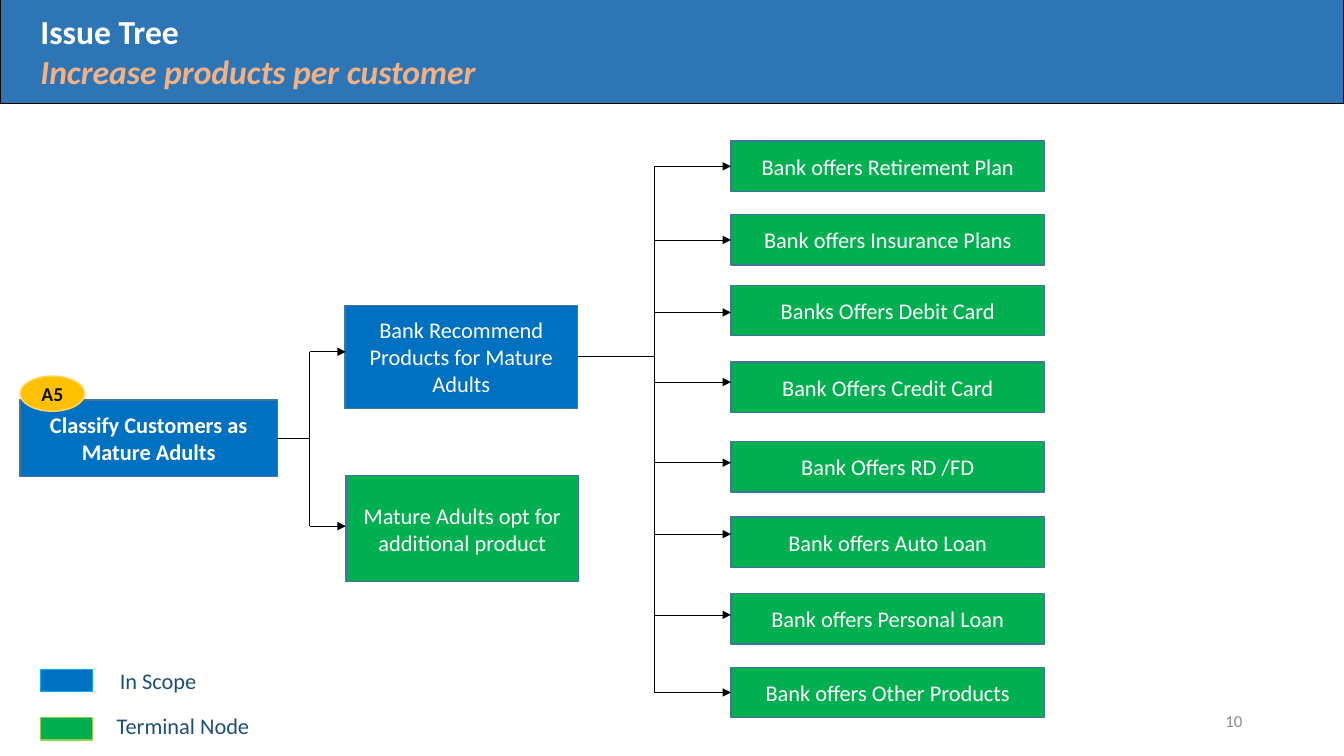
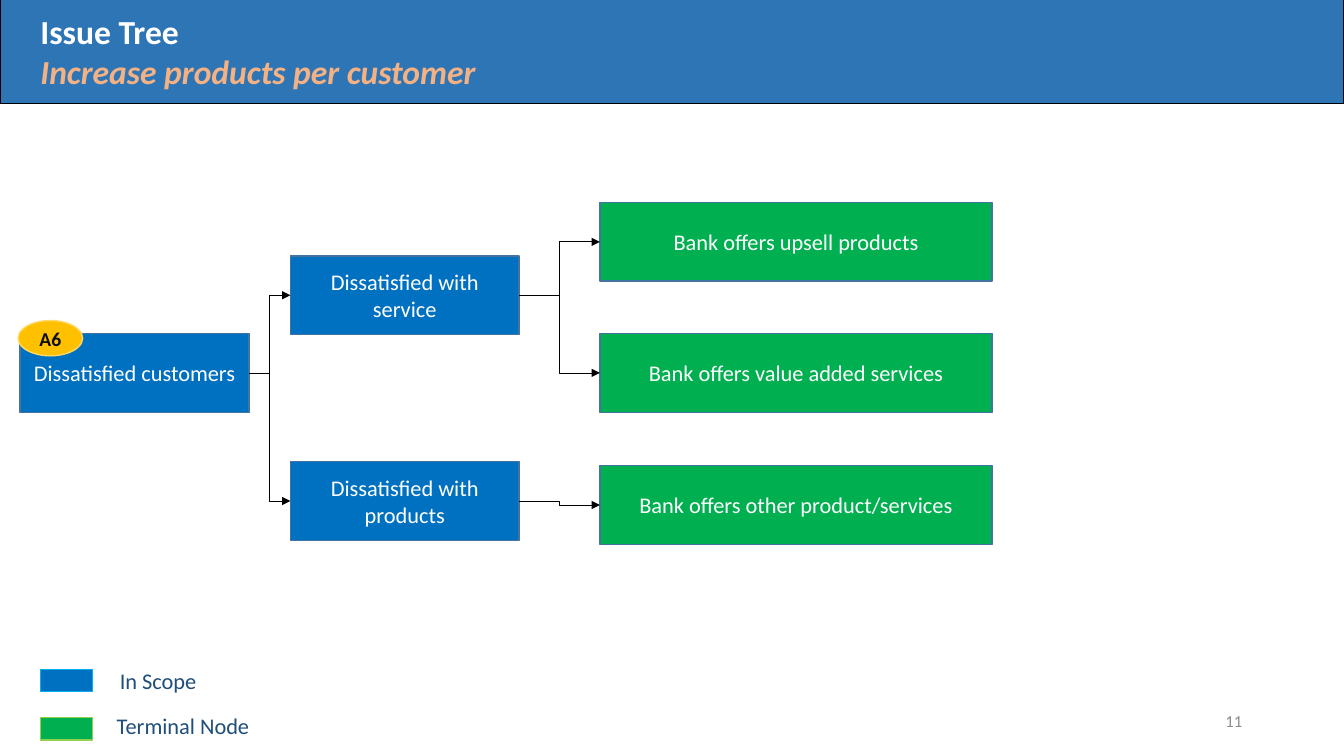
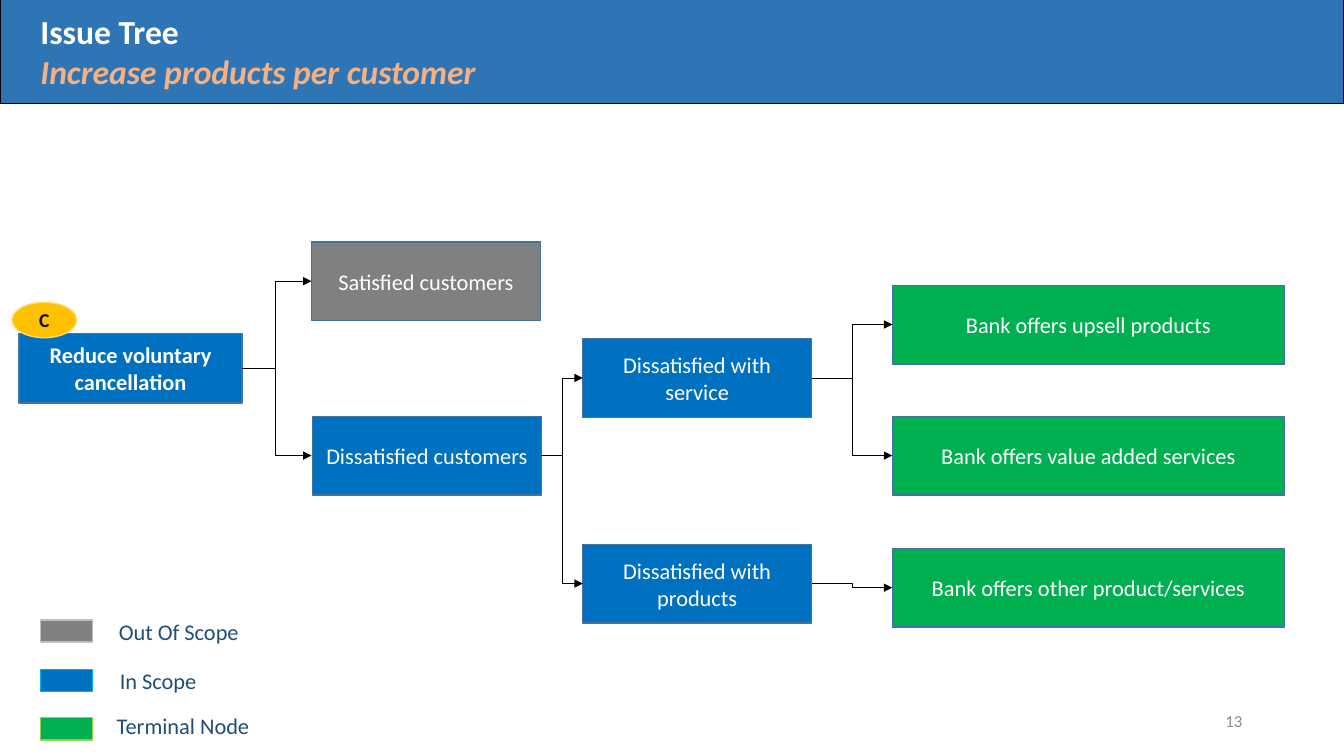
from lxml import etree
from pptx import Presentation
from pptx.dml.color import RGBColor
from pptx.enum.shapes import MSO_CONNECTOR as CONN, MSO_SHAPE as SHAPE
from pptx.enum.text import MSO_ANCHOR as ANCHOR, MSO_AUTO_SIZE as AUTO, PP_ALIGN as ALIGN
from pptx.oxml.ns import qn
from pptx.util import Inches, Pt

FONT = "Calibri"
COLORS = {name: RGBColor.from_string(code) for name, code in {
    "band": "2E75B6", "subtitle": "F4B183", "white": "FFFFFF", "black": "000000",
    "in_scope": "0070C0", "in_scope_edge": "00B0F0",
    "terminal": "00B050", "terminal_edge": "92D050",
    "out_scope": "808080", "out_scope_edge": "BFBFBF",
    "node_edge": "43739E", "badge": "FFC000", "badge_edge": "FFD966",
    "badge_text": "0D0D0D", "legend_text": "1F4E79", "page_number": "8C8C8C",
}.items()}


def add_node(slide, box, text, fill, edge="node_edge", kind=SHAPE.RECTANGLE,
             size=16, color="white", bold=False):
    node = slide.shapes.add_shape(kind, *map(Inches, box))
    node.shadow.inherit = False
    node.fill.solid()
    node.fill.fore_color.rgb = COLORS[fill]
    node.line.color.rgb = COLORS[edge]
    node.line.width = Pt(1)
    if text:
        node.text_frame.text = text
        node.text_frame.vertical_anchor = ANCHOR.MIDDLE
        paragraph = node.text_frame.paragraphs[0]
        paragraph.alignment = ALIGN.CENTER
        font = paragraph.runs[0].font
        font.name, font.size, font.bold = FONT, Pt(size), bold
        font.color.rgb = COLORS[color]
    return node


def add_line(slide, ends, arrow=False, kind=CONN.STRAIGHT):
    line = slide.shapes.add_connector(kind, *map(Inches, ends))
    line.line.color.rgb = COLORS["black"]
    line.line.width = Pt(0.5)
    if arrow:
        etree.SubElement(line.line._get_or_add_ln(), qn("a:tailEnd"), type="triangle")
    etree.SubElement(line._element.spPr, qn("a:effectLst"))
    return line


prs = Presentation()
prs.slide_width, prs.slide_height = Inches(13.33), Inches(7.5)

# Shared frame: title band, legend, page number
LEGEND = [  # label, colour, swatch top, label left, label top, label width
    ("Terminal Node", "terminal", 7.12, 1.06, 7.02, 1.53),
    ("In Scope", "in_scope", 6.64, 1.09, 6.57, 0.97),
    ("Out Of Scope", "out_scope", 6.15, 1.08, 6.08, 1.41),
]
slides = []
for page, legend_size in [("10", 2), ("11", 2), ("13", 3)]:
    slide = prs.slides.add_slide(prs.slide_layouts[5])
    slides.append(slide)

    title = slide.shapes.title
    title.left, title.top = Inches(0), Inches(-0.02)
    title.width, title.height = Inches(13.33), Inches(1.05)
    title.fill.solid()
    title.fill.fore_color.rgb = COLORS["band"]
    title.line.color.rgb = COLORS["black"]
    title.line.width = Pt(1)
    frame = title.text_frame
    frame.text = "Issue Tree\nIncrease products per customer"
    frame.auto_size, frame.vertical_anchor = AUTO.NONE, ANCHOR.MIDDLE
    frame.margin_left = Inches(0.4)
    for paragraph, color, italic in zip(frame.paragraphs, ("white", "subtitle"), (False, True)):
        paragraph.alignment = ALIGN.LEFT
        font = paragraph.runs[0].font
        font.name, font.size, font.bold, font.italic = FONT, Pt(24), True, italic
        font.color.rgb = COLORS[color]

    for label, color, swatch_top, left, top, width in LEGEND[:legend_size]:
        add_node(slide, (0.4, swatch_top, 0.52, 0.22), "", color, color + "_edge")
        caption = slide.shapes.add_textbox(*map(Inches, (left, top, width, 0.37))).text_frame
        caption.text = label
        caption.word_wrap, caption.auto_size = False, AUTO.SHAPE_TO_FIT_TEXT
        font = caption.paragraphs[0].runs[0].font
        font.name, font.size = FONT, Pt(16)
        font.color.rgb = COLORS["legend_text"]

    number = slide.shapes.add_textbox(*map(Inches, (9.42, 6.95, 3, 0.4))).text_frame
    number.text = page
    number.word_wrap, number.vertical_anchor = True, ANCHOR.MIDDLE
    number.paragraphs[0].alignment = ALIGN.RIGHT
    font = number.paragraphs[0].runs[0].font
    font.name, font.size = FONT, Pt(12)
    font.color.rgb = COLORS["page_number"]

mature, dissatisfied, cancellation = slides

# Mature adults: root and two branches
add_node(mature, (0.2, 3.97, 2.55, 0.76), "Classify Customers as Mature Adults", "in_scope", bold=True)
add_node(mature, (3.42, 3.03, 2.31, 1.02), "Bank Recommend Products for Mature Adults", "in_scope")
add_node(mature, (3.43, 4.72, 2.31, 1.05), "Mature Adults opt for additional product", "terminal")
add_line(mature, (2.75, 4.35, 3.07, 4.35))
add_line(mature, (3.07, 3.49, 3.07, 5.22))
for y in (3.49, 5.22):
    add_line(mature, (3.07, y, 3.43, y), arrow=True)

# Mature adults: product offers hanging on one trunk
add_line(mature, (5.73, 3.54, 6.49, 3.54))
add_line(mature, (6.49, 1.65, 6.49, 6.87))
for offer, top, arrow_y in [
    ("Bank offers Retirement Plan", 1.4, 1.65),
    ("Bank offers Insurance Plans", 2.13, 2.38),
    ("Banks Offers Debit Card", 2.83, 3.1),
    ("Bank Offers Credit Card", 3.59, 3.79),
    ("Bank Offers RD /FD", 4.38, 4.59),
    ("Bank offers Auto Loan", 5.13, 5.3),
    ("Bank offers Personal Loan", 5.89, 6.1),
    ("Bank offers Other Products", 6.62, 6.87),
]:
    add_node(mature, (7.25, top, 3.11, 0.5), offer, "terminal")
    add_line(mature, (6.49, arrow_y, 7.25, arrow_y), arrow=True)

# Voluntary cancellation: root and its split
add_node(cancellation, (0.19, 3.31, 2.21, 0.69), "Reduce voluntary cancellation", "in_scope", bold=True)
add_node(cancellation, (3.09, 2.4, 2.27, 0.78), "Satisfied customers", "out_scope")
add_line(cancellation, (2.4, 3.65, 2.73, 3.65))
add_line(cancellation, (2.73, 2.79, 2.73, 4.52))
for y in (2.79, 4.52):
    add_line(cancellation, (2.73, y, 3.09, y), arrow=True)

# Dissatisfied customers: the same tree on two slides, shifted as a whole
TREE = [  # text, left, top, width, colour, index of parent
    ("Dissatisfied customers", 0, 0, 2.27, "in_scope", None),
    ("Dissatisfied with service", 2.68, -0.77, 2.27, "in_scope", 0),
    ("Dissatisfied with products", 2.68, 1.27, 2.27, "in_scope", 0),
    ("Bank offers upsell products", 5.75, -1.3, 3.89, "terminal", 1),
    ("Bank offers value added services", 5.75, 0, 3.89, "terminal", 1),
    ("Bank offers other product/services", 5.75, 1.31, 3.89, "terminal", 2),
]
RIGHT_SITE, LEFT_SITE = 3, 1
for slide, tree_left, tree_top in [(dissatisfied, 0.2, 3.31), (cancellation, 3.1, 4.13)]:
    nodes = []
    for text, left, top, width, color, parent in TREE:
        node = add_node(slide, (tree_left + left, tree_top + top, width, 0.78), text, color)
        nodes.append(node)
        if parent is not None:
            link = add_line(slide, (0, 0, 0, 0), arrow=True, kind=CONN.ELBOW)
            link.begin_connect(nodes[parent], RIGHT_SITE)
            link.end_connect(node, LEFT_SITE)

# Badges on the root nodes
for slide, code, left, top in [(mature, "A5", 0.2, 3.73), (dissatisfied, "A6", 0.18, 3.18),
                               (cancellation, "C", 0.12, 3)]:
    add_node(slide, (left, top, 0.64, 0.35), code, "badge", "badge_edge",
             SHAPE.OVAL, 14, "badge_text", True)

prs.save("out.pptx")
